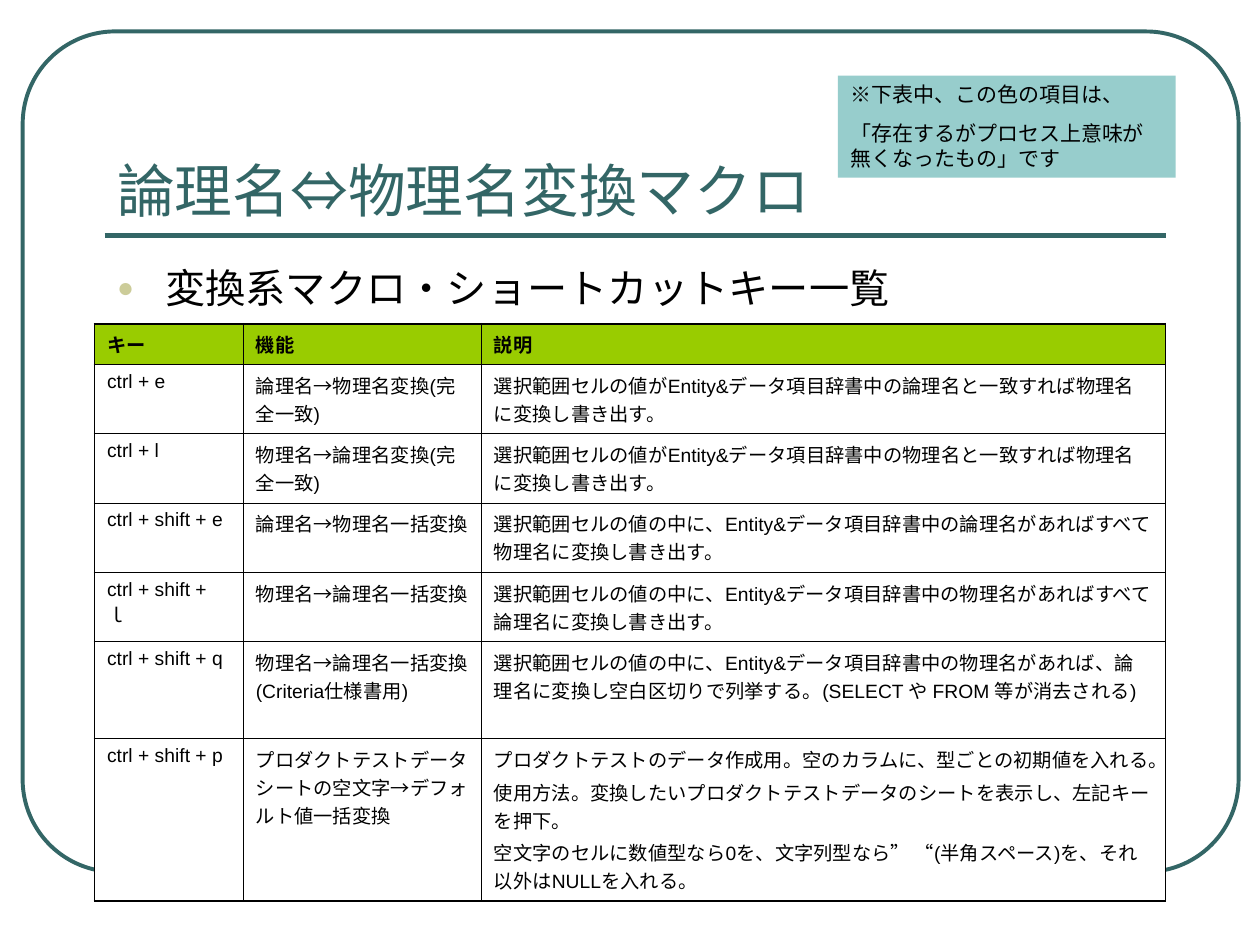
from lxml.etree import SubElement
from pptx import Presentation
from pptx.dml.color import RGBColor
from pptx.enum.shapes import MSO_CONNECTOR as Connector, MSO_SHAPE as Shape
from pptx.enum.text import MSO_ANCHOR as Anchor, MSO_AUTO_SIZE as AutoSize, PP_ALIGN as Align
from pptx.oxml import parse_xml
from pptx.oxml.ns import nsdecls, qn
from pptx.util import Inches, Pt

COLORS = {
    "teal": "336666",
    "note": "97CDCC",
    "header": "99CC00",
    "bullet": "CCCC99",
    "text": "000000",
    "white": "FFFFFF",
}
OUTER, INNER = 1.08, 0.45

COLUMNS = [1.18, 1.89, 5.43]
ROW_HEIGHTS = [0.32, 0.55, 0.55, 0.55, 0.55, 0.77, 1.29]
MACROS = [
    ("キー", "機能", "説明"),
    ("ctrl + e", "論理名→物理名変換(完全一致)",
     "選択範囲セルの値がEntity&データ項目辞書中の論理名と一致すれば物理名に変換し書き出す。"),
    ("ctrl + l", "物理名→論理名変換(完全一致)",
     "選択範囲セルの値がEntity&データ項目辞書中の物理名と一致すれば物理名に変換し書き出す。"),
    ("ctrl + shift + e", "論理名→物理名一括変換",
     "選択範囲セルの値の中に、Entity&データ項目辞書中の論理名があればすべて物理名に変換し書き出す。"),
    ("ctrl + shift + ｌ", "物理名→論理名一括変換",
     "選択範囲セルの値の中に、Entity&データ項目辞書中の物理名があればすべて論理名に変換し書き出す。"),
    ("ctrl + shift + q", "物理名→論理名一括変換(Criteria仕様書用)",
     "選択範囲セルの値の中に、Entity&データ項目辞書中の物理名があれば、論理名に変換し"
     "空白区切りで列挙する。(SELECT や FROM 等が消去される)"),
    ("ctrl + shift + p", "プロダクトテストデータシートの空文字→デフォルト値一括変換",
     "プロダクトテストのデータ作成用。空のカラムに、型ごとの初期値を入れる。\n"
     "使用方法。変換したいプロダクトテストデータのシートを表示し、左記キーを押下。\n"
     "空文字のセルに数値型なら0を、文字列型なら” “(半角スペース)を、それ以外はNULLを入れる。"),
]


def rgb(name):
    return RGBColor.from_string(COLORS[name])


def place(shape, left, top, width, height):
    shape.left, shape.top = Inches(left), Inches(top)
    shape.width, shape.height = Inches(width), Inches(height)


class SlideBuilder:
    def __init__(self, slide, font="Arial"):
        self.slide = slide
        self.font = font

    def set_text(self, text_frame, text, size, color="text", font=None, bold=False, before=0):
        text_frame.text = text
        for paragraph in text_frame.paragraphs:
            paragraph.alignment = Align.LEFT
            paragraph.space_before = Pt(before)
            for run in paragraph.runs:
                run.font.size = Pt(size)
                run.font.name = font or self.font
                run.font.bold = bold
                run.font.color.rgb = rgb(color)

    def frame(self, left, top, width, height):
        shape = self.slide.shapes.add_shape(
            Shape.ROUNDED_RECTANGLE, Inches(left), Inches(top), Inches(width), Inches(height))
        shape.adjustments[0] = 0.11
        shape.shadow.inherit = False
        shape.fill.background()
        shape.line.color.rgb = rgb("teal")
        shape.line.width = Pt(2.25)

    def rule(self, left, right, y):
        line = self.slide.shapes.add_connector(
            Connector.STRAIGHT, Inches(left), Inches(y), Inches(right), Inches(y))
        line.line.color.rgb = rgb("teal")
        line.line.width = Pt(3)
        SubElement(line._element.spPr, qn("a:effectLst"))

    def title(self, text, *box):
        shape = self.slide.shapes.title
        place(shape, *box)
        shape.text_frame.auto_size = AutoSize.NONE
        shape.text_frame.vertical_anchor = Anchor.BOTTOM
        self.set_text(shape.text_frame, text, 33, "teal", "Montserrat")

    def body(self, text, *box):
        shape = self.slide.placeholders[1]
        place(shape, *box)
        shape.text_frame.auto_size = AutoSize.NONE
        self.set_text(shape.text_frame, text, 23, before=5.8)
        for paragraph in shape.text_frame.paragraphs:
            paragraph.line_spacing = 0.9
            self.bullet(paragraph)

    def bullet(self, paragraph):
        properties = paragraph._p.get_or_add_pPr()
        properties.set("marL", str(Inches(0.38)))
        properties.set("indent", str(-Inches(0.38)))
        color = SubElement(properties, qn("a:buClr"))
        SubElement(color, qn("a:srgbClr"), val=COLORS["bullet"])
        SubElement(properties, qn("a:buSzPct"), val="70000")
        SubElement(properties, qn("a:buChar"), char="●")

    def note(self, text, left, top, width, height):
        shape = self.slide.shapes.add_shape(
            Shape.RECTANGLE, Inches(left), Inches(top), Inches(width), Inches(height))
        shape.shadow.inherit = False
        shape.fill.solid()
        shape.fill.fore_color.rgb = rgb("note")
        shape.line.fill.background()
        shape.text_frame.word_wrap = True
        shape.text_frame.vertical_anchor = Anchor.TOP
        self.set_text(shape.text_frame, text, 12, before=7.5)

    def table(self, rows, left, top, widths, heights):
        table = self.slide.shapes.add_table(
            len(rows), len(widths), Inches(left), Inches(top),
            Inches(sum(widths)), Inches(sum(heights))).table
        table.horz_banding = False
        for column, width in zip(table.columns, widths):
            column.width = Inches(width)
        for row, height in zip(table.rows, heights):
            row.height = Inches(height)
        last_row, last_column = len(rows) - 1, len(widths) - 1
        for r, texts in enumerate(rows):
            for c, text in enumerate(texts):
                cell = table.cell(r, c)
                self.set_text(cell.text_frame, text, 11, bold=r == 0, before=2.8)
                if r in (0, last_row):
                    cell.fill.solid()
                    cell.fill.fore_color.rgb = rgb("white" if r else "header")
                else:
                    cell.fill.background()
                self.borders(cell, L=c == 0, R=c == last_column, T=r == 0, B=r == last_row)

    def borders(self, cell, **outer_sides):
        """Draw each side, thicker where it lies on the table's edge."""
        properties = cell._tc.get_or_add_tcPr()
        for index, (side, is_outer) in enumerate(outer_sides.items()):
            width = Pt(OUTER if is_outer else INNER)
            properties.insert(index, parse_xml(
                f'<a:ln{side} {nsdecls("a")} w="{width}"><a:solidFill>'
                f'<a:srgbClr val="{COLORS["text"]}"/></a:solidFill></a:ln{side}>'))


def main():
    presentation = Presentation()
    presentation.slide_width, presentation.slide_height = Inches(10), Inches(7.5)
    slide = presentation.slides.add_slide(presentation.slide_layouts[1])

    builder = SlideBuilder(slide)
    builder.frame(0.18, 0.25, 9.65, 6.67)
    builder.rule(0.83, 9.25, 1.87)
    builder.title("論理名⇔物理名変換マクロ", 0.83, 0.58, 8.42, 1.25)
    builder.body("変換系マクロ・ショートカットキー一覧", 0.83, 2.08, 8.42, 4.42)
    builder.table(MACROS, 0.75, 2.57, COLUMNS, ROW_HEIGHTS)
    builder.note("※下表中、この色の項目は、\n「存在するがプロセス上意味が無くなったもの」です",
                 6.65, 0.6, 2.68, 0.81)

    presentation.save("out.pptx")


if __name__ == "__main__":
    main()
